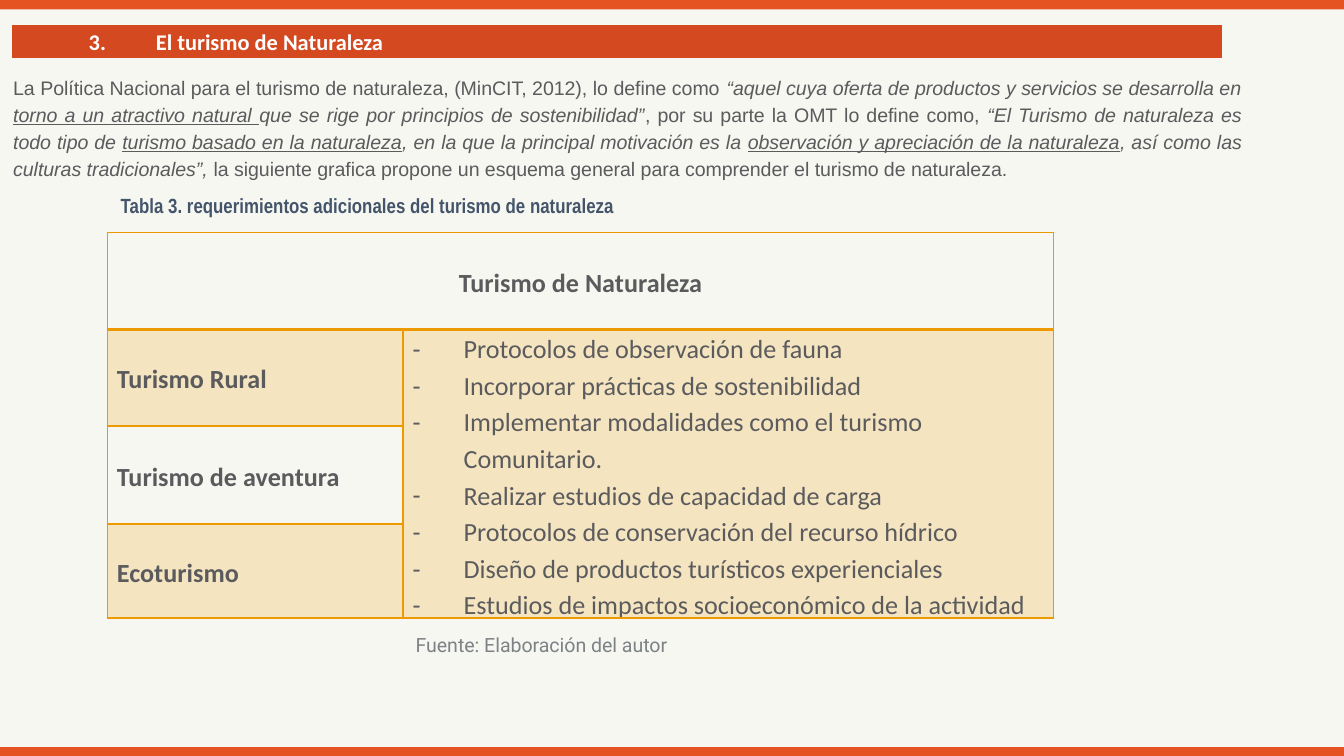
"""Build the slide on nature tourism with its table of additional requirements."""
from dataclasses import dataclass

from lxml.etree import SubElement
from pptx import Presentation
from pptx.dml.color import RGBColor
from pptx.enum.shapes import MSO_SHAPE
from pptx.enum.text import MSO_ANCHOR, MSO_AUTO_SIZE, PP_ALIGN
from pptx.oxml import parse_xml
from pptx.oxml.ns import nsdecls, qn
from pptx.util import Inches, Pt


@dataclass(frozen=True)
class Theme:
    background: str = "F6F7F0"
    bar: str = "E65322"
    header: str = "D4491F"
    white: str = "FFFFFF"
    text: str = "5B5B5E"
    caption: str = "44546A"
    source: str = "7D8287"
    amber: str = "EE9900"
    tint_alpha: int = 20000
    header_size: float = 12
    body_size: float = 10.5
    caption_size: float = 11
    cell_size: float = 14


theme = Theme()


def format_paragraph(paragraph, font_name, size, color, bold=False, line_spacing=None, space_after=0):
    paragraph.font.name = font_name
    paragraph.font.size = Pt(size)
    paragraph.font.bold = bold
    paragraph.font.color.rgb = RGBColor.from_string(color)
    paragraph.line_spacing = line_spacing
    paragraph.space_after = Pt(space_after)


def format_cell(cell, border, width, fill=None, alpha=100000, bottom=None):
    cell.margin_left = cell.margin_right = Inches(0.07)
    cell.margin_top = cell.margin_bottom = 0
    if fill:
        cell.fill.solid()
        cell.fill.fore_color.rgb = RGBColor.from_string(fill)
    else:
        cell.fill.background()
    properties = cell._tc.get_or_add_tcPr()
    for color in properties.iter(qn("a:srgbClr")):
        SubElement(color, qn("a:alpha"), val=str(alpha))
    for index, side in enumerate("LRTB"):
        points = bottom if side == "B" and bottom else width
        properties.insert(index, parse_xml(
            f'<a:ln{side} {nsdecls("a")} w="{Pt(points)}"><a:solidFill>'
            f'<a:srgbClr val="{border}"/></a:solidFill></a:ln{side}>'))


presentation = Presentation()
presentation.slide_width, presentation.slide_height = Inches(10), Inches(10 * 9 / 16)
slide = presentation.slides.add_slide(presentation.slide_layouts[6])
slide.background.fill.solid()
slide.background.fill.fore_color.rgb = RGBColor.from_string(theme.background)

for top in (-0.02, 5.56):
    bar = slide.shapes.add_shape(MSO_SHAPE.RECTANGLE, 0, Inches(top), Inches(10), Inches(0.09))
    bar.shadow.inherit = False
    bar.fill.solid()
    bar.fill.fore_color.rgb = RGBColor.from_string(theme.bar)
    bar.line.fill.background()

header = slide.shapes.add_table(1, 1, Inches(0.09), Inches(0.19), Inches(9), Inches(0.23)).table
header_cell = header.cell(0, 0)
header_cell.text = "3. \tEl turismo de Naturaleza"
format_cell(header_cell, theme.header, 0.75, theme.header)
heading = header_cell.text_frame.paragraphs[0]
format_paragraph(heading, "Calibri", theme.header_size, theme.white, True, 1.15)
heading._p.get_or_add_pPr().set("marL", str(Inches(0.5)))

definition_runs = [
    ("La Política Nacional para el turismo de naturaleza, (MinCIT, 2012), lo define como ", ""),
    ("“aquel cuya oferta de productos y servicios se desarrolla en ", "i"),
    ("torno a un atractivo natural ", "iu"),
    ("que se rige por principios de sostenibilidad”", "i"),
    (", por su parte la OMT lo define como, ", ""),
    ("“El Turismo de naturaleza es todo tipo de ", "i"),
    ("turismo basado en la naturaleza", "iu"),
    (", en la que la principal motivación es la ", "i"),
    ("observación y apreciación de la naturaleza", "iu"),
    (", así como las culturas tradicionales”, ", "i"),
    ("la siguiente grafica propone un esquema general para comprender el turismo de naturaleza. ", ""),
]
caption_runs = [("Tabla 3. requerimientos adicionales del turismo de naturaleza", "")]
source_runs = [("Fuente: Elaboración del autor", "")]
text_boxes = [
    ((0, 0.49, 9.34, 0.9), definition_runs, PP_ALIGN.JUSTIFY, True,
     ("Arial", theme.body_size, theme.text, False, 1.15, 8)),
    ((0.8, 1.39, 6.47, 0.29), caption_runs, PP_ALIGN.LEFT, True,
     ("Arial Narrow", theme.caption_size, theme.caption, True, None, 10)),
    ((2.96, 4.66, 2.14, 0.28), source_runs, PP_ALIGN.CENTER, False,
     ("Roboto", theme.body_size, theme.source, False, None, 6)),
]
for box, runs, alignment, wrap, style in text_boxes:
    frame = slide.shapes.add_textbox(*map(Inches, box)).text_frame
    frame.word_wrap = wrap
    frame.auto_size = MSO_AUTO_SIZE.SHAPE_TO_FIT_TEXT
    paragraph = frame.paragraphs[0]
    paragraph.alignment = alignment
    format_paragraph(paragraph, *style)
    for text, marks in runs:
        run = paragraph.add_run()
        run.text = text
        if "i" in marks:
            run.font.italic = True
        if "u" in marks:
            run.font.underline = True

column_widths = [2.2, 4.84]
row_heights = [0.72, 0.72, 0.73, 0.7]
row_titles = ["Turismo de Naturaleza", "Turismo Rural", "Turismo de aventura", "Ecoturismo"]
requirements = [
    "Protocolos de observación de fauna",
    "Incorporar prácticas de sostenibilidad",
    "Implementar modalidades como el turismo Comunitario.",
    "Realizar estudios de capacidad de carga",
    "Protocolos de conservación del recurso hídrico",
    "Diseño de productos turísticos experienciales",
    "Estudios de impactos socioeconómico de la actividad",
]
table = slide.shapes.add_table(4, 2, Inches(0.8), Inches(1.73), Inches(7.04), Inches(2.87)).table
for column, width in zip(table.columns, column_widths):
    column.width = Inches(width)
for row_index, (title, height) in enumerate(zip(row_titles, row_heights)):
    table.rows[row_index].height = Inches(height)
    for column_index in range(2):
        tinted = row_index > 0 and (column_index == 1 or row_index != 2)
        format_cell(table.cell(row_index, column_index), theme.amber, 1,
                    theme.amber if tinted else None, theme.tint_alpha,
                    bottom=2 if row_index == 0 else None)
    title_cell = table.cell(row_index, 0)
    title_cell.text = title
    title_cell.vertical_anchor = MSO_ANCHOR.MIDDLE
    format_paragraph(title_cell.text_frame.paragraphs[0], "Calibri", theme.cell_size, theme.text, True, 1.15)
table.cell(0, 0).merge(table.cell(0, 1))
table.cell(0, 0).text_frame.paragraphs[0].alignment = PP_ALIGN.CENTER
table.cell(1, 1).merge(table.cell(3, 1))

requirements_frame = table.cell(1, 1).text_frame
requirements_frame.text = "\n".join(requirements)
for paragraph in requirements_frame.paragraphs:
    properties = paragraph._p.get_or_add_pPr()
    properties.set("marL", str(Inches(0.38)))
    properties.set("indent", str(Inches(-0.38)))
    SubElement(properties, qn("a:buFont"), typeface="Calibri")
    SubElement(properties, qn("a:buChar"), char="-")
    format_paragraph(paragraph, "Calibri", theme.cell_size, theme.text, False, 1.15)

presentation.save("out.pptx")
